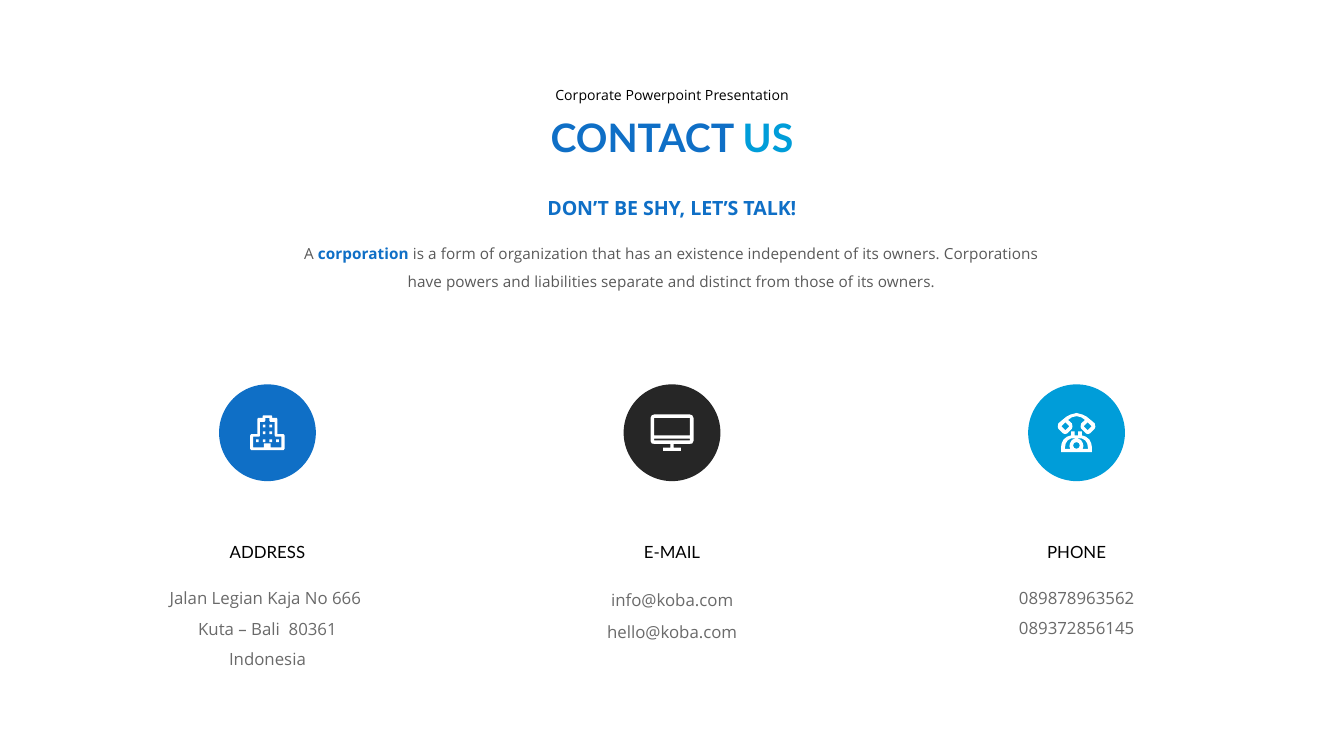
from pptx import Presentation
from pptx.dml.color import RGBColor
from pptx.enum.shapes import MSO_SHAPE
from pptx.enum.text import MSO_ANCHOR, MSO_AUTO_SIZE, PP_ALIGN
from pptx.util import Inches, Pt

HUES = {"blue": "0F6FC6", "cyan": "009DD9", "dark": "262626", "black": "000000",
        "text": "595959", "grey": "6A6A6A", "white": "FFFFFF"}

deck = Presentation()
deck.slide_width = Inches(10)
deck.slide_height = Inches(10 * 9 / 16)
slide = deck.slides.add_slide(deck.slide_layouts[5])
shapes = slide.shapes


def write(box, mid, top, wide, high, lines, font, size, space=1.0):
    """Centre a box on mid; each line is a list of (text, hue, bold)."""
    box.left, box.top = Inches(mid - wide / 2), Inches(top)
    box.width, box.height = Inches(wide), Inches(high)
    frame = box.text_frame
    frame.word_wrap = True
    frame.auto_size = MSO_AUTO_SIZE.NONE
    frame.vertical_anchor = MSO_ANCHOR.TOP
    frame.margin_left = frame.margin_right = Inches(0.07)
    frame.margin_top = frame.margin_bottom = Inches(0.04)
    for i, line in enumerate(lines):
        para = frame.add_paragraph() if i else frame.paragraphs[0]
        para.alignment = PP_ALIGN.CENTER
        para.line_spacing = space
        for text, hue, bold in line:
            run = para.add_run()
            run.text = text
            run.font.name, run.font.size, run.font.bold = font, Pt(size), bold
            run.font.color.rgb = RGBColor.from_string(HUES[hue])


def paint(shape, hue):
    shape.shadow.inherit = False
    shape.fill.solid()
    shape.fill.fore_color.rgb = RGBColor.from_string(HUES[hue])
    shape.line.fill.background()


# Heading
write(shapes.title, 5, 0.8, 3.33, 0.43,
      [[("CONTACT ", "blue", True), ("US", "cyan", True)]], "Lato", 21)

# Lines above and below the heading
intro = [("A ", "text", False), ("corporation", "blue", True),
         (" is a form of organization that has an existence independent of its "
          "owners. Corporations have powers and liabilities separate and "
          "distinct from those of its owners.", "text", False)]
for top, wide, high, line, size, space in [
        (0.6, 3.65, 0.2, [("Corporate Powerpoint Presentation", "black", False)], 7.5, 1),
        (1.42, 3.65, 0.25, [("DON’T BE SHY, LET’S TALK!", "blue", True)], 10.5, 1),
        (1.71, 5.8, 0.49, intro, 8.25, 1.5)]:
    box = shapes.add_textbox(0, 0, 0, 0)
    write(box, 5, top, wide, high, [line], "Open Sans", size, space)

# Icon outlines: right halves, in hundredths of an inch from the disc centre
house = [
    [(3, -13), (3.5, -12.5), (3.5, -11), (7, -11), (7.5, -10), (7.5, 1),
     (12, 1), (12.8, 2), (12.8, 12), (12, 13)],
    [(1.5, -11), (1.5, -9), (2.2, -8), (5.5, -8), (5.5, 2), (6, 3),
     (10.5, 3), (10.5, 11), (2.5, 11), (2.5, 8)]]
screen = [
    [(13, -13.7), (15, -13), (16, -11), (16, 6), (15, 8), (13, 8.3),
     (1.3, 8.3), (1.3, 11), (6.7, 11), (6.7, 13.5)],
    [(13.3, -11), (13.3, 2)],
    [(13.3, 4.3), (13.3, 5.7)]]
base = [
    [(1.3, 2), (1.3, -1), (4, -1), (4, 2), (7, 3), (9.5, 5), (11, 8),
     (11.5, 11), (11.5, 14.5)],
    [(0, 7), (1.8, 7.7), (2.5, 9.5), (1.8, 11.3), (0, 12)],
    [(0, 4), (4, 4.3), (6.5, 5.7), (8, 8), (8.7, 12), (4.6, 12), (5.2, 10),
     (4.8, 8), (3.5, 5.5), (1, 4.3)]]
horn = [
    [(0, -14.7), (4.5, -13.5), (7.5, -12), (13.5, -7), (14, -4.5), (13.5, -3),
     (10, 0.5), (8.5, 1), (7, 0.5), (3.5, -3), (3, -4.5), (3.5, -7),
     (6.3, -9.5), (3.5, -11.5), (0, -12.3)]]
gems = [[(s * 8.3, -7.8), (s * 11.3, -4.8), (s * 8.3, -1.8), (s * 5.3, -4.8)]
        for s in (-1, 1)]

# Three columns: disc, icon, label and details
mids = [1.99, 5, 8.01]
parts = [
    ("blue", [(house, [])], "ADDRESS",
     [(4.26, 1.82, 0.76, ["Jalan Legian Kaja No 666 ", "Kuta – Bali  80361", "Indonesia"])]),
    ("dark", [(screen, [])], "E-MAIL",
     [(4.27, 2.05, 0.3, ["info@koba.com"]), (4.51, 2.05, 0.3, ["hello@koba.com"])]),
    ("cyan", [(base, []), (horn, gems)], "PHONE",
     [(4.26, 2.05, 0.28, ["089878963562"]), (4.48, 2.05, 0.28, ["089372856145"])])]
for mid, (hue, icons, label, notes) in zip(mids, parts):
    disc = shapes.add_shape(MSO_SHAPE.OVAL, Inches(mid - 0.36), Inches(2.86),
                            Inches(0.72), Inches(0.72))
    paint(disc, hue)
    for halves, holes in icons:
        loops = [half + [(-x, y) for x, y in reversed(half)] for half in halves]
        pen = None
        for loop in loops + holes:
            dots = [(Inches(mid + x / 100), Inches(3.22 + y / 100)) for x, y in loop]
            if pen is None:
                pen = shapes.build_freeform(*dots[0], scale=1.0)
            else:
                pen.move_to(*dots[0])
            pen.add_line_segments(dots[1:], close=True)
        paint(pen.convert_to_shape(), "white")
    box = shapes.add_textbox(0, 0, 0, 0)
    write(box, mid, 3.99, 0.87, 0.23, [[(label, "black", False)]], "Lato", 9)
    for top, wide, high, lines in notes:
        box = shapes.add_textbox(0, 0, 0, 0)
        write(box, mid, top, wide, high, [[(line, "grey", False)] for line in lines],
              "Open Sans", 9, 1.5)

# Windows of the house
for x, top in [(s * 2.5, y) for y in (3.16, 3.21, 3.27) for s in (-1, 1)] + [
        (-7.5, 3.27), (7.5, 3.27)]:
    pane = shapes.add_shape(MSO_SHAPE.RECTANGLE, Inches(mids[0] + x / 100 - 0.01),
                            Inches(top), Inches(0.02), Inches(0.02))
    paint(pane, "white")

deck.save("out.pptx")
